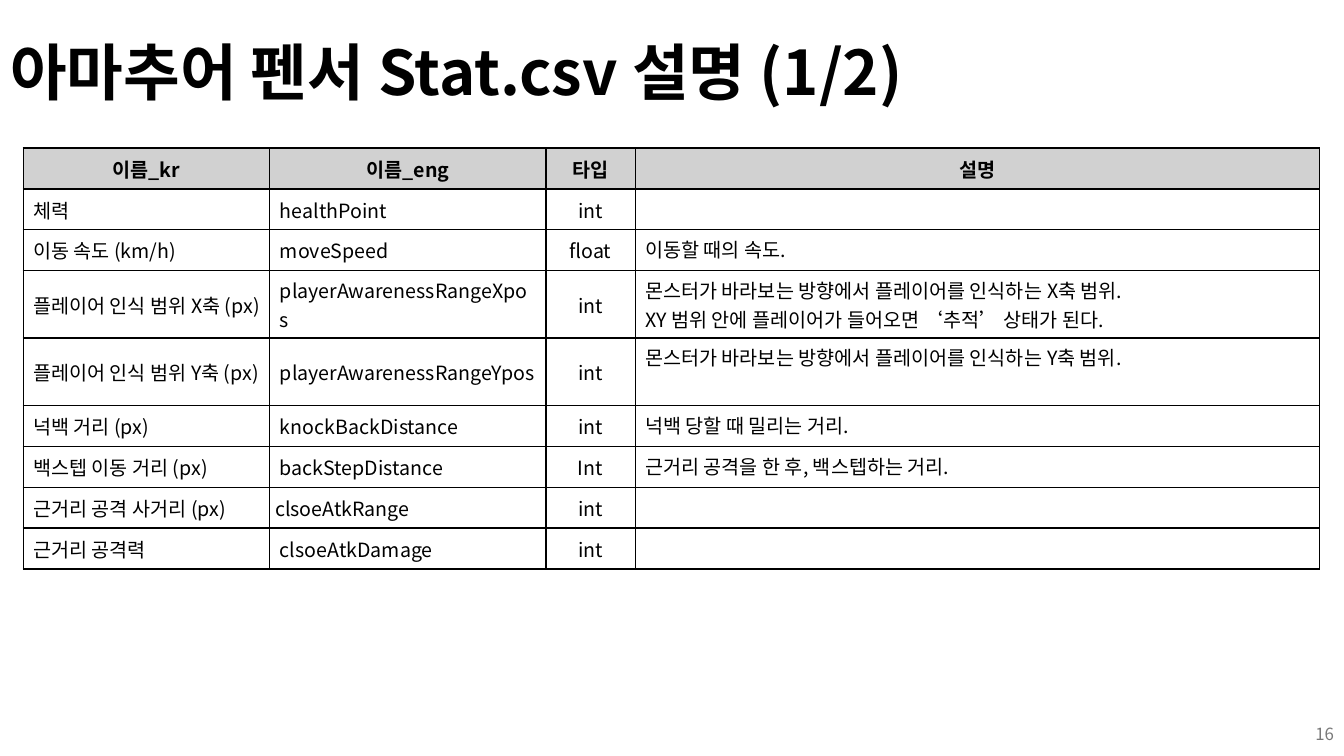
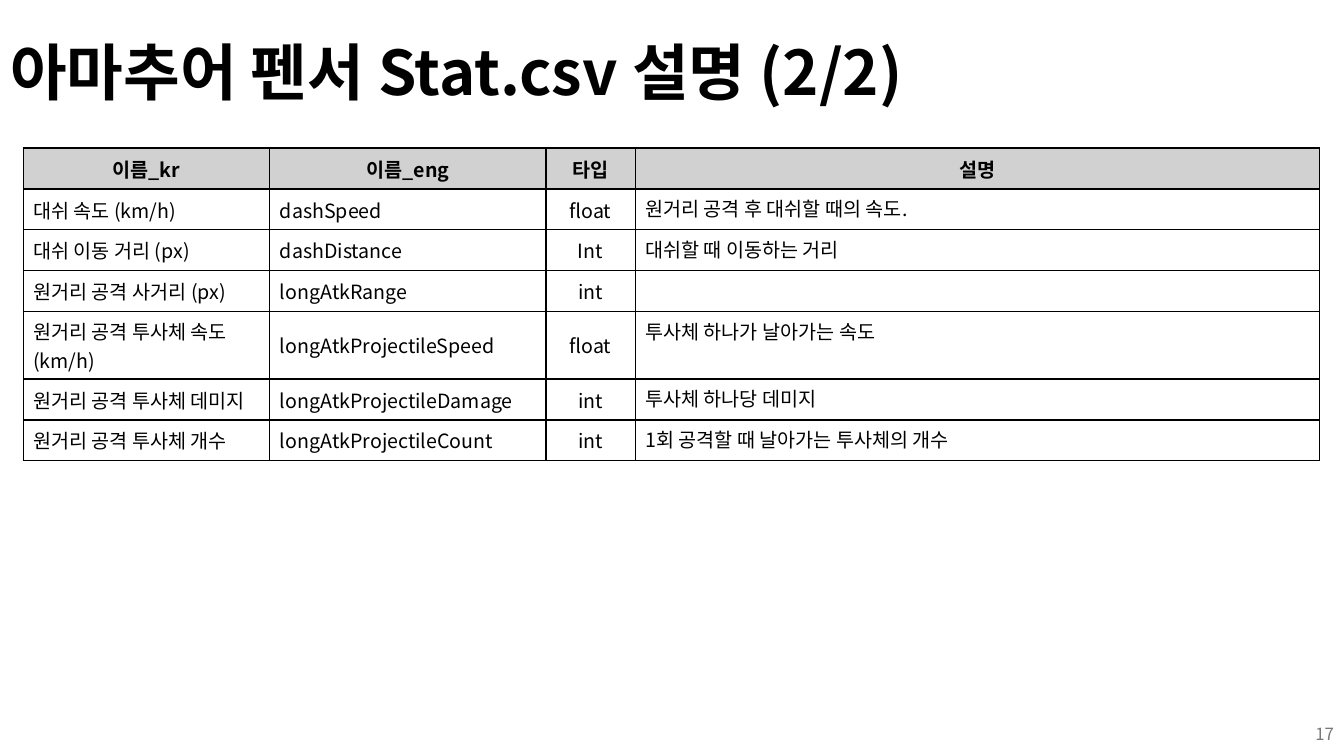
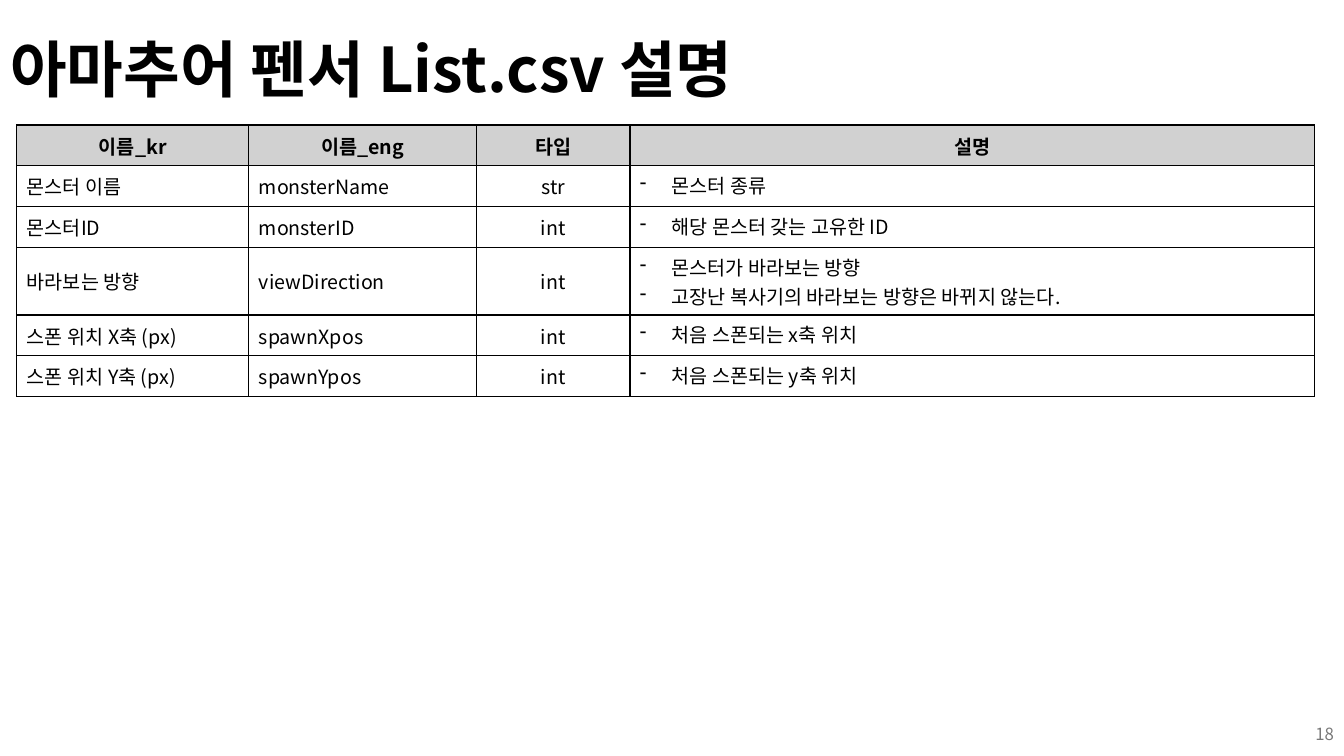
from lxml.etree import SubElement
from pptx import Presentation
from pptx.dml.color import RGBColor
from pptx.enum.text import MSO_ANCHOR as ANCHOR, MSO_AUTO_SIZE as AUTO_SIZE, PP_ALIGN as ALIGN
from pptx.oxml.ns import qn
from pptx.util import Pt

# Shared look
PX = 9525
FONT = "Noto Sans CJK KR"
COLORS = {"text": "000000", "number": "797979", "head": "D1D1D1", "body": "FFFFFF", "line": "000000"}
FORMATS = {
    "title": {"size": Pt(44), "bold": True, "name": FONT},
    "head": {"size": Pt(14), "bold": True, "name": FONT},
    "body": {"size": Pt(14), "bold": False, "name": FONT},
    "number": {"size": Pt(12), "bold": False, "name": FONT},
}
ROW_HEIGHT = 39
BULLET_INDENT = 30
HEADINGS = ("이름_kr", "이름_eng", "타입", "설명")
STAT_COLUMNS = (235, 263, 85, 652)
LIST_COLUMNS = (221, 217, 146, 652)

# Content: each row is Korean name, English name, type, description lines
PAGES = [
    {"title": "아마추어 펜서 Stat.csv 설명 (1/2)", "number": 16, "title_top": 2,
     "corner": (22, 141), "columns": STAT_COLUMNS, "bullets": False, "rows": [
         ("체력", "healthPoint", "int", ""),
         ("이동 속도 (km/h)", "moveSpeed", "float", "이동할 때의 속도."),
         ("플레이어 인식 범위 X축 (px)", "playerAwarenessRangeXpos", "int",
          "몬스터가 바라보는 방향에서 플레이어를 인식하는 X축 범위.\n"
          "XY 범위 안에 플레이어가 들어오면 ‘추적’ 상태가 된다."),
         ("플레이어 인식 범위 Y축 (px)", "playerAwarenessRangeYpos", "int",
          "몬스터가 바라보는 방향에서 플레이어를 인식하는 Y축 범위."),
         ("넉백 거리 (px)", "knockBackDistance", "int", "넉백 당할 때 밀리는 거리."),
         ("백스텝 이동 거리 (px)", "backStepDistance", "Int", "근거리 공격을 한 후, 백스텝하는 거리."),
         ("근거리 공격 사거리 (px)", "clsoeAtkRange", "int", ""),
         ("근거리 공격력", "clsoeAtkDamage", "int", ""),
     ]},
    {"title": "아마추어 펜서 Stat.csv 설명 (2/2)", "number": 17, "title_top": 2,
     "corner": (22, 141), "columns": STAT_COLUMNS, "bullets": False, "rows": [
         ("대쉬 속도 (km/h)", "dashSpeed", "float", "원거리 공격 후 대쉬할 때의 속도."),
         ("대쉬 이동 거리 (px)", "dashDistance", "Int", "대쉬할 때 이동하는 거리"),
         ("원거리 공격 사거리 (px)", "longAtkRange", "int", ""),
         ("원거리 공격 투사체 속도 (km/h)", "longAtkProjectileSpeed", "float", "투사체 하나가 날아가는 속도"),
         ("원거리 공격 투사체 데미지", "longAtkProjectileDamage", "int", "투사체 하나당 데미지"),
         ("원거리 공격 투사체 개수", "longAtkProjectileCount", "int", "1회 공격할 때 날아가는 투사체의 개수"),
     ]},
    {"title": "아마추어 펜서 List.csv 설명", "number": 18, "title_top": 0,
     "corner": (16, 119), "columns": LIST_COLUMNS, "bullets": True, "rows": [
         ("몬스터 이름", "monsterName", "str", "몬스터 종류"),
         ("몬스터ID", "monsterID", "int", "해당 몬스터 갖는 고유한 ID"),
         ("바라보는 방향", "viewDirection", "int",
          "몬스터가 바라보는 방향\n고장난 복사기의 바라보는 방향은 바뀌지 않는다."),
         ("스폰 위치 X축 (px)", "spawnXpos", "int", "처음 스폰되는 x축 위치"),
         ("스폰 위치 Y축 (px)", "spawnYpos", "int", "처음 스폰되는 y축 위치"),
     ]},
]


def write_text(frame, text, style, align, color="text"):
    frame.text = text
    for para in frame.paragraphs:
        para.alignment = align
        for span in para.runs:
            for key, value in FORMATS[style].items():
                setattr(span.font, key, value)
            span.font.color.rgb = RGBColor.from_string(COLORS[color])
            SubElement(span.font._element, qn("a:ea"), typeface=FONT)
        if not para.runs:
            # An empty cell keeps the row height of the small text
            SubElement(para._p, qn("a:endParaRPr"), sz="1400")


def paint_cell(cell, fill):
    properties = cell._tc.get_or_add_tcPr()
    for side in ("lnL", "lnR", "lnT", "lnB"):
        border = SubElement(properties, qn(f"a:{side}"), w=str(Pt(1)))
        SubElement(SubElement(border, qn("a:solidFill")), qn("a:srgbClr"), val=COLORS["line"])
    cell.fill.solid()
    cell.fill.fore_color.rgb = RGBColor.from_string(COLORS[fill])


deck = Presentation()
deck.slide_width, deck.slide_height = 1280 * PX, 720 * PX
title_only = deck.slide_layouts[5]

for content in PAGES:
    page = deck.slides.add_slide(title_only)

    # Title
    title = page.shapes.title
    title.left, title.top, title.width, title.height = (
        length * PX for length in (0, content["title_top"], 1104, 139))
    write_text(title.text_frame, content["title"], "title", ALIGN.LEFT)
    title.text_frame.auto_size = AUTO_SIZE.NONE
    title.text_frame.vertical_anchor = ANCHOR.MIDDLE
    title.text_frame.paragraphs[0].line_spacing = 0.9

    # Table
    rows = [HEADINGS] + content["rows"]
    left, top = content["corner"]
    widths = content["columns"]
    table = page.shapes.add_table(len(rows), len(widths), left * PX, top * PX,
                                  sum(widths) * PX, len(rows) * ROW_HEIGHT * PX).table
    table.horz_banding = False
    for column, width in zip(table.columns, widths):
        column.width = width * PX
    for row_index, row in enumerate(rows):
        table.rows[row_index].height = ROW_HEIGHT * PX
        style = "body" if row_index else "head"
        for column_index, text in enumerate(row):
            cell = table.cell(row_index, column_index)
            description = style == "body" and column_index == 3
            centred = style == "head" or column_index == 2
            write_text(cell.text_frame, text, style, ALIGN.CENTER if centred else ALIGN.LEFT)
            cell.vertical_anchor = ANCHOR.TOP if description else ANCHOR.MIDDLE
            paint_cell(cell, style)
            if text == "clsoeAtkRange":
                cell.margin_left = 5 * PX
            if description and content["bullets"]:
                for para in cell.text_frame.paragraphs:
                    settings = para._p.get_or_add_pPr()
                    settings.set("marL", str(BULLET_INDENT * PX))
                    settings.set("indent", str(-BULLET_INDENT * PX))
                    SubElement(settings, qn("a:buChar"), char="-")

    # Page number
    box = page.shapes.add_textbox(992 * PX, 680 * PX, 288 * PX, 38 * PX)
    box.text_frame.word_wrap = True
    box.text_frame.vertical_anchor = ANCHOR.MIDDLE
    write_text(box.text_frame, str(content["number"]), "number", ALIGN.RIGHT, "number")

deck.save("out.pptx")
